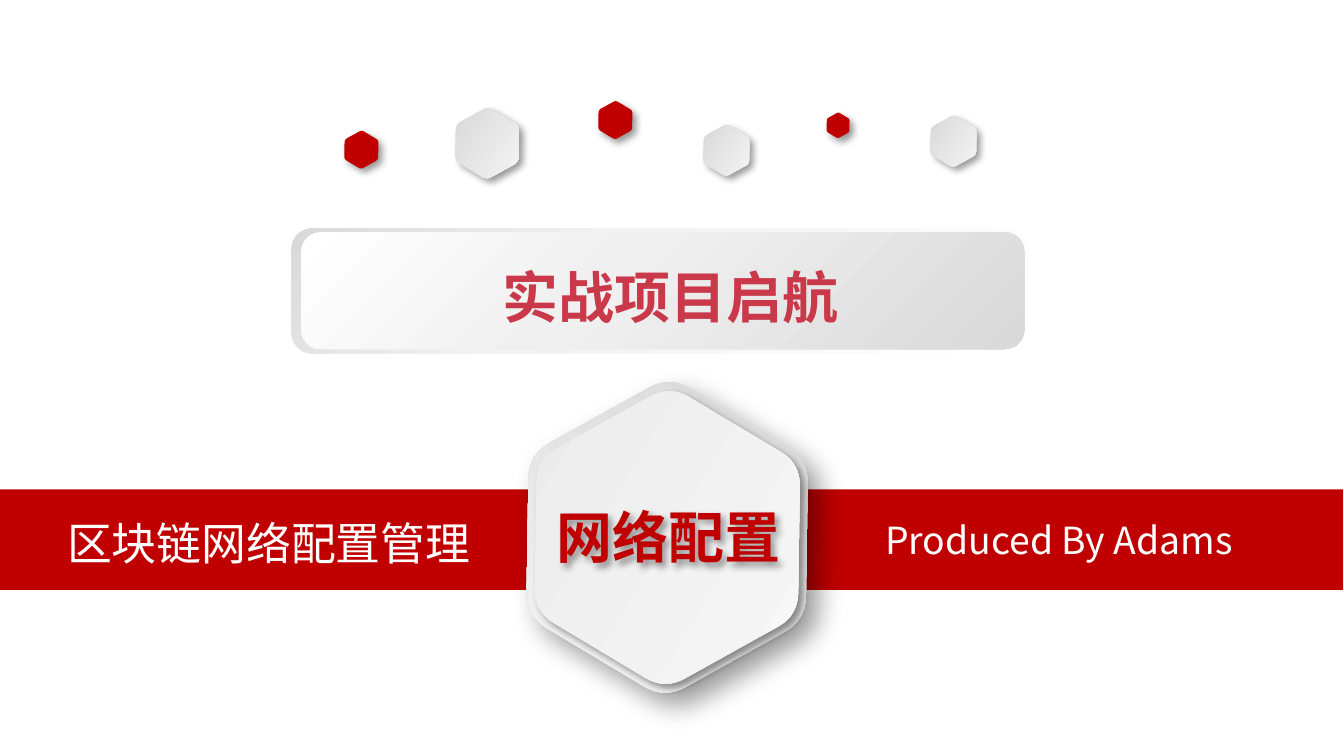
import math

import lxml.etree
import pptx
import pptx.dml.color
import pptx.enum.shapes
import pptx.enum.text
import pptx.oxml
import pptx.oxml.ns
import pptx.util

Cm = pptx.util.Cm
RED = "C00000"
SILVER = [(0, "D3D3D3"), (100, "F9F9F9")]
PALE = [(0, "E9E9E9"), (100, "F9F9F9")]


def rgb(value):
    """Turn a hex string into a colour."""
    return pptx.dml.color.RGBColor.from_string(value)


class Deck:
    """Hold the style and the current slide."""

    font = "Noto Sans CJK SC"
    tilt = 30.9

    def __init__(self, width, height):
        """Open a presentation with one title-only slide."""
        self.prs = pptx.Presentation()
        self.prs.slide_width, self.prs.slide_height = Cm(width), Cm(height)
        self.s = self.prs.slides.add_slide(self.prs.slide_layouts[5])

    def paint(self, sp, fill, angle=0):
        """Fill a shape with nothing, one colour or gradient stops."""
        sp.shadow.inherit = False
        sp.line.fill.background()
        if fill is None:
            sp.fill.background()
        elif isinstance(fill, str):
            sp.fill.solid()
            sp.fill.fore_color.rgb = rgb(fill)
        else:
            sp.fill.gradient()
            sp.fill.gradient_angle = angle
            gs_list = sp._element.spPr.find(".//" + pptx.oxml.ns.qn("a:gsLst"))
            for gs in list(gs_list):
                gs_list.remove(gs)
            for pos, color in fill:
                gs = lxml.etree.SubElement(gs_list, pptx.oxml.ns.qn("a:gs"), pos=str(pos * 1000))
                lxml.etree.SubElement(gs, pptx.oxml.ns.qn("a:srgbClr"), val=color)

    def shade(self, sp, blur=4, dist=3):
        """Cast a soft shadow to the lower right."""
        effects = sp._element.spPr.find(pptx.oxml.ns.qn("a:effectLst"))
        effects.append(pptx.oxml.parse_xml(
            f'<a:outerShdw {pptx.oxml.ns.nsdecls("a")} blurRad="{pptx.util.Pt(blur)}" '
            f'dist="{pptx.util.Pt(dist)}" dir="2700000" algn="tl" rotWithShape="0">'
            '<a:srgbClr val="000000"><a:alpha val="40000"/></a:srgbClr></a:outerShdw>'))

    def box(self, kind, left, top, width, height, fill, angle=0):
        """Add a preset shape."""
        sp = self.s.shapes.add_shape(kind, Cm(left), Cm(top), Cm(width), Cm(height))
        self.paint(sp, fill, angle)
        return sp

    def hexagon(self, cx, cy, height, fill, angle=0, blur=4, dist=3):
        """Add a tilted hexagon with rounded corners."""
        radius, cut = height / math.sqrt(3), 0.15
        corners = [(cx + radius * math.cos(math.pi * k / 3),
                    cy + radius * math.sin(math.pi * k / 3)) for k in range(6)]
        points = []
        for k, corner in enumerate(corners):
            before, after = corners[k - 1], corners[(k + 1) % 6]
            for t in (i / 8 for i in range(9)):
                a, b = cut * (1 - t) ** 2, cut * t ** 2
                points.append(tuple(Cm(c + a * (p - c) + b * (n - c))
                                    for c, p, n in zip(corner, before, after)))
        builder = self.s.shapes.build_freeform(*points[0])
        builder.add_line_segments(points[1:])
        sp = builder.convert_to_shape()
        sp.rotation = self.tilt
        self.paint(sp, fill, angle)
        self.shade(sp, blur, dist)

    def set_text(self, sp, text, size, color, bold=False, center=True):
        """Put one formatted line of text into a shape."""
        tf = sp.text_frame
        tf.text = text
        tf.word_wrap = True
        tf.auto_size = pptx.enum.text.MSO_AUTO_SIZE.NONE
        tf.vertical_anchor = pptx.enum.text.MSO_ANCHOR.MIDDLE
        p = tf.paragraphs[0]
        align = pptx.enum.text.PP_ALIGN
        p.alignment = align.CENTER if center else align.LEFT
        r = p.runs[0]
        r.font.size, r.font.bold = pptx.util.Pt(size), bold
        r.font.color.rgb = rgb(color)
        r.font.name = self.font
        lxml.etree.SubElement(r.font._element, pptx.oxml.ns.qn("a:ea"), typeface=self.font)

    def label(self, text, left, top, width, height, size, center=True):
        """Add a white text box."""
        sp = self.s.shapes.add_textbox(Cm(left), Cm(top), Cm(width), Cm(height))
        self.set_text(sp, text, size, "FFFFFF", center=center)

    def title(self, text, left, top, width, height):
        """Place the title placeholder in front of what is drawn so far."""
        sp = self.s.shapes.title
        sp.left, sp.top, sp.width, sp.height = Cm(left), Cm(top), Cm(width), Cm(height)
        self.set_text(sp, text, 30, "C9394A", bold=True)
        self.s.shapes._spTree.append(sp._element)


def main():
    """Build the cover slide."""
    shape = pptx.enum.shapes.MSO_SHAPE
    deck = Deck(25.4, 14.29)
    deck.box(shape.RECTANGLE, -0.02, 9.25, 25.4, 1.9, RED)
    deck.label("区块链网络配置管理", 0.61, 9.63, 8.94, 1.27, 24)
    deck.label("Produced By Adams", 16.48, 9.63, 8.89, 1.12, 20, center=False)

    for cx, cy, height, fill in [
        (9.21, 2.71, 1.19, SILVER), (11.63, 2.27, 0.64, RED), (6.83, 2.83, 0.64, RED),
        (13.73, 2.84, 0.86, SILVER), (15.84, 2.37, 0.43, RED), (18.02, 2.67, 0.86, SILVER),
    ]:
        deck.hexagon(cx, cy, height, fill)
    deck.hexagon(12.61, 10.16, 5.28, SILVER, angle=270, blur=15, dist=9)
    deck.hexagon(12.61, 10.16, 4.98, PALE)

    for left, top, width, height, middle, angle in [
        (5.51, 4.32, 13.92, 2.36, (62, "F2F2F2"), 135),
        (5.69, 4.39, 13.67, 2.21, (42, "F0F0F0"), 315),
    ]:
        stops = [(0, "FFFFFF"), middle, (100, "D9D9D9")]
        deck.box(shape.ROUNDED_RECTANGLE, left, top, width, height, stops, angle)
    deck.title("实战项目启航", 5.72, 4.83, 13.92, 1.52)

    sp = deck.box(shape.ROUNDED_RECTANGLE, 10.13, 9.5, 5, 1.27, None)
    deck.shade(sp)
    deck.set_text(sp, "网络配置", 30, RED, bold=True)
    deck.prs.save("out.pptx")


if __name__ == "__main__":
    main()
